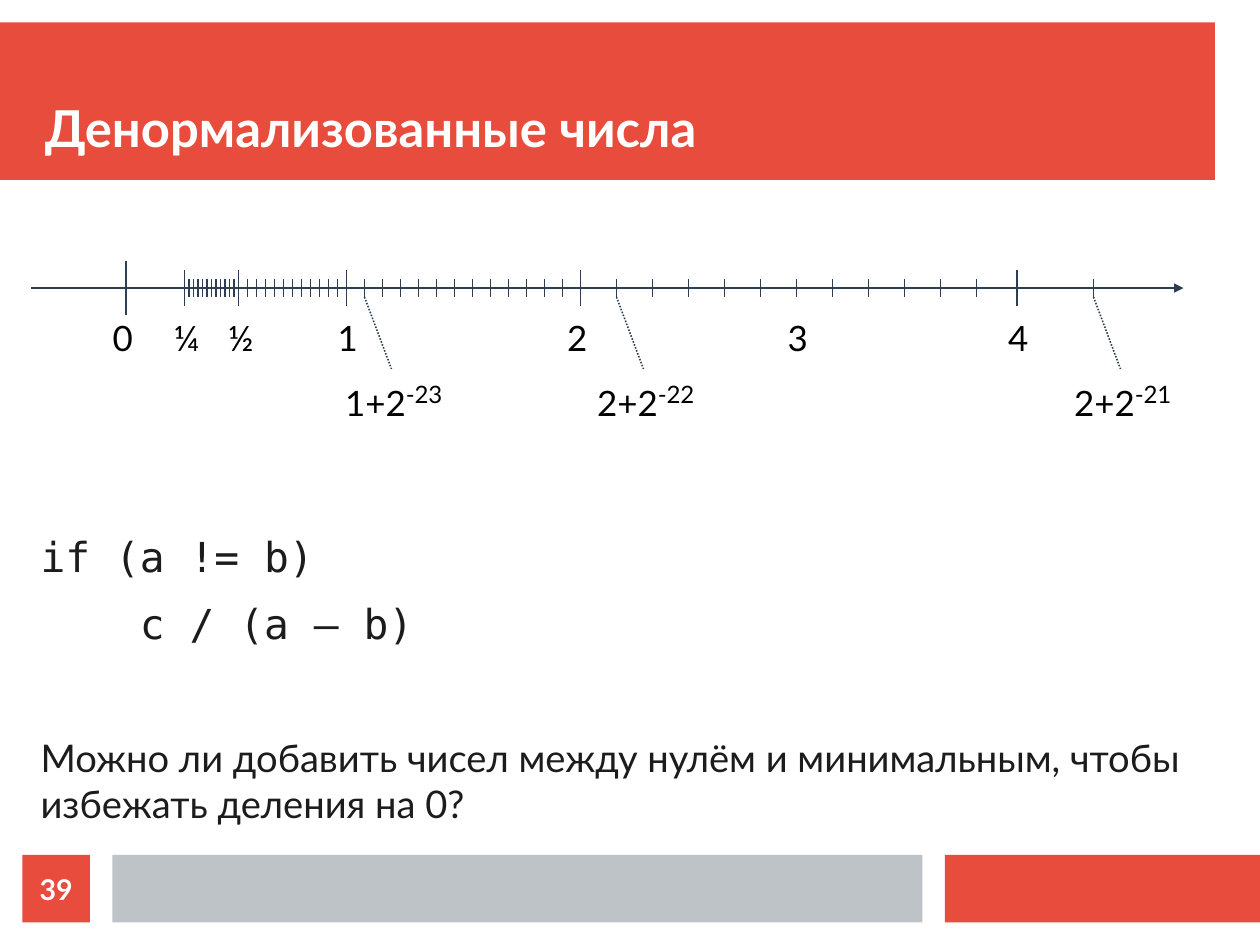
from lxml import etree
from pptx import Presentation
from pptx.dml.color import RGBColor
from pptx.enum.dml import MSO_LINE
from pptx.enum.shapes import MSO_CONNECTOR, MSO_SHAPE
from pptx.enum.text import MSO_ANCHOR, MSO_AUTO_SIZE, PP_ALIGN
from pptx.oxml.ns import qn
from pptx.util import Cm, Pt

RED = RGBColor(0xE7, 0x4C, 0x3C)
GRAY = RGBColor(0xBD, 0xC3, 0xC7)
NAVY = RGBColor(0x2C, 0x3E, 0x50)
INK = RGBColor(0x1C, 0x1C, 0x1C)
BLACK = RGBColor(0, 0, 0)
WHITE = RGBColor(0xFF, 0xFF, 0xFF)

RECT = MSO_SHAPE.RECTANGLE
STRAIGHT = MSO_CONNECTOR.STRAIGHT
DOTTED = MSO_LINE.ROUND_DOT
LEFT, CENTER = PP_ALIGN.LEFT, PP_ALIGN.CENTER
TOP, MIDDLE, BOTTOM = MSO_ANCHOR.TOP, MSO_ANCHOR.MIDDLE, MSO_ANCHOR.BOTTOM
NO_FIT = MSO_AUTO_SIZE.NONE

SANS, MONO = "Lato", "DejaVu Sans Mono"

ZERO = 2.1
MAJOR_TICKS = [3.4, 4.6, 7, 12.2, 21.9]
MINOR_TICKS = [(3.5, 0.1, 11), (4.8, 0.2, 11), (7.4, 0.4, 12), (13, 0.8, 11), (23.6, 0.8, 1)]
NUMBERS = [("0", 2.03), ("¼", 3.45), ("½", 4.65), ("1", 7.03),
           ("2", 12.13), ("3", 17.03), ("4", 21.93)]
NEXT_NUMBERS = [("1+2", "-23", 7.4), ("2+2", "-22", 13), ("2+2", "-21", 23.6)]


def add_run(p, text, size, color, font=SANS, bold=False):
    """Append a formatted run to a paragraph."""
    r = p.add_run()
    r.text = text
    r.font.name, r.font.size, r.font.bold = font, Pt(size), bold
    r.font.color.rgb = color
    return r


def clear_margins(tf):
    """Remove the inner margins of a text frame."""
    tf.margin_left = tf.margin_right = tf.margin_top = tf.margin_bottom = 0


def add_bar(s, x, y, w, h, color):
    """Add a plain filled rectangle."""
    sp = s.shapes.add_shape(RECT, Cm(x), Cm(y), Cm(w), Cm(h))
    sp.shadow.inherit = False
    sp.fill.solid()
    sp.fill.fore_color.rgb = color
    sp.line.fill.background()
    return sp


def add_line(s, x1, y1, x2, y2):
    """Add a thin straight line without a shadow."""
    line = s.shapes.add_connector(STRAIGHT, Cm(x1), Cm(y1), Cm(x2), Cm(y2))
    line.line.color.rgb = NAVY
    line.line.width = Pt(1)
    etree.SubElement(line.element.spPr, qn("a:effectLst"))
    return line


def add_label(s, center, y, w, text, power=None):
    """Add a centred axis label with an optional superscript."""
    tf = s.shapes.add_textbox(Cm(center - w / 2), Cm(y), Cm(w), Cm(1)).text_frame
    clear_margins(tf)
    tf.word_wrap = True
    tf.vertical_anchor = MIDDLE
    p = tf.paragraphs[0]
    p.alignment = CENTER
    add_run(p, text, 22, BLACK)
    if power:
        r = add_run(p, power, 26, BLACK)
        r._r.get_or_add_rPr().set("baseline", "33000")


def place(sp, x, y, w, h, anchor):
    """Position a placeholder in front and clear its margins."""
    sp.left, sp.top, sp.width, sp.height = Cm(x), Cm(y), Cm(w), Cm(h)
    sp.element.getparent().append(sp.element)
    tf = sp.text_frame
    clear_margins(tf)
    tf.word_wrap = True
    tf.auto_size = NO_FIT
    tf.vertical_anchor = anchor
    return tf


def add_header(s, x, y, w, h):
    """Draw the title band with the title on it."""
    add_bar(s, x, y, w, h, RED)
    tf = place(s.shapes.title, x + 1, y + 0.5, w - 1, h - 1, BOTTOM)
    p = tf.paragraphs[0]
    p.alignment = LEFT
    add_run(p, "Денормализованные числа", 32, WHITE, bold=True)


def add_number_line(s, x, y, w, h):
    """Draw the axis with its ticks, numbers and dotted leaders."""
    mid = y + h / 2
    axis = add_line(s, x, mid, x + w, mid)
    etree.SubElement(axis.element.spPr.find(qn("a:ln")), qn("a:tailEnd"), type="triangle")

    ticks = [(ZERO, h / 2)] + [(pos, h / 3) for pos in MAJOR_TICKS]
    ticks += [(first + i * step, h / 6) for first, step, n in MINOR_TICKS for i in range(n)]
    for pos, half in ticks:
        add_line(s, x + pos, mid - half, x + pos, mid + half)

    for text, pos in NUMBERS:
        add_label(s, x + pos, y + h, 0.9, text)
    for base, power, pos in NEXT_NUMBERS:
        leader = add_line(s, x + pos, mid + h / 6, x + pos + 0.6, y + 2 * h)
        leader.line.dash_style = DOTTED
        add_label(s, x + pos + 0.65, y + 2 * h + 0.2, 2.6, base, power)


def add_body(s, x, y, w, h):
    """Fill the body with the code lines and the question."""
    tf = place(s.placeholders[1], x, y, w, h, TOP)
    lines = [
        ("if (a != b)", 26, MONO, 0, 0),
        ("c / (a — b)", 26, MONO, 2.21, 0),
        ("Можно ли добавить чисел между нулём и минимальным, чтобы избежать деления на 0?",
         24, SANS, 0, 43),
    ]
    for i, (text, size, font, indent, before) in enumerate(lines):
        p = tf.add_paragraph() if i else tf.paragraphs[0]
        p.alignment = LEFT
        p.space_before, p.space_after = Pt(before), Pt(11.4)
        pPr = p._p.get_or_add_pPr()
        pPr.set("marL", str(Cm(indent)))
        pPr.set("indent", "0")
        etree.SubElement(pPr, qn("a:buNone"))
        add_run(p, text, size, INK, font)


def add_footer(s, x, y, w, h):
    """Draw the footer bars and the page number."""
    gap, middle = 0.5, 18
    page = add_bar(s, x, y, h, h, RED)
    add_bar(s, x + h + gap, y, middle, h, GRAY)
    right = h + middle + 2 * gap
    add_bar(s, x + right, y, w - right, h, RED)
    tf = page.text_frame
    clear_margins(tf)
    tf.vertical_anchor = MIDDLE
    p = tf.paragraphs[0]
    p.alignment = CENTER
    add_run(p, "39", 18, WHITE, bold=True)


def main():
    """Build the slide and save it."""
    prs = Presentation()
    prs.slide_width, prs.slide_height = Cm(28), Cm(21)
    s = prs.slides.add_slide(prs.slide_layouts[1])
    add_header(s, 0, 0.5, 27, 3.5)
    add_number_line(s, 0.7, 5.8, 25.6, 1.2)
    add_body(s, 0.9, 11.8, 25.5, 7)
    add_footer(s, 0.5, 19, 27.5, 1.5)
    prs.save("out.pptx")


if __name__ == "__main__":
    main()
